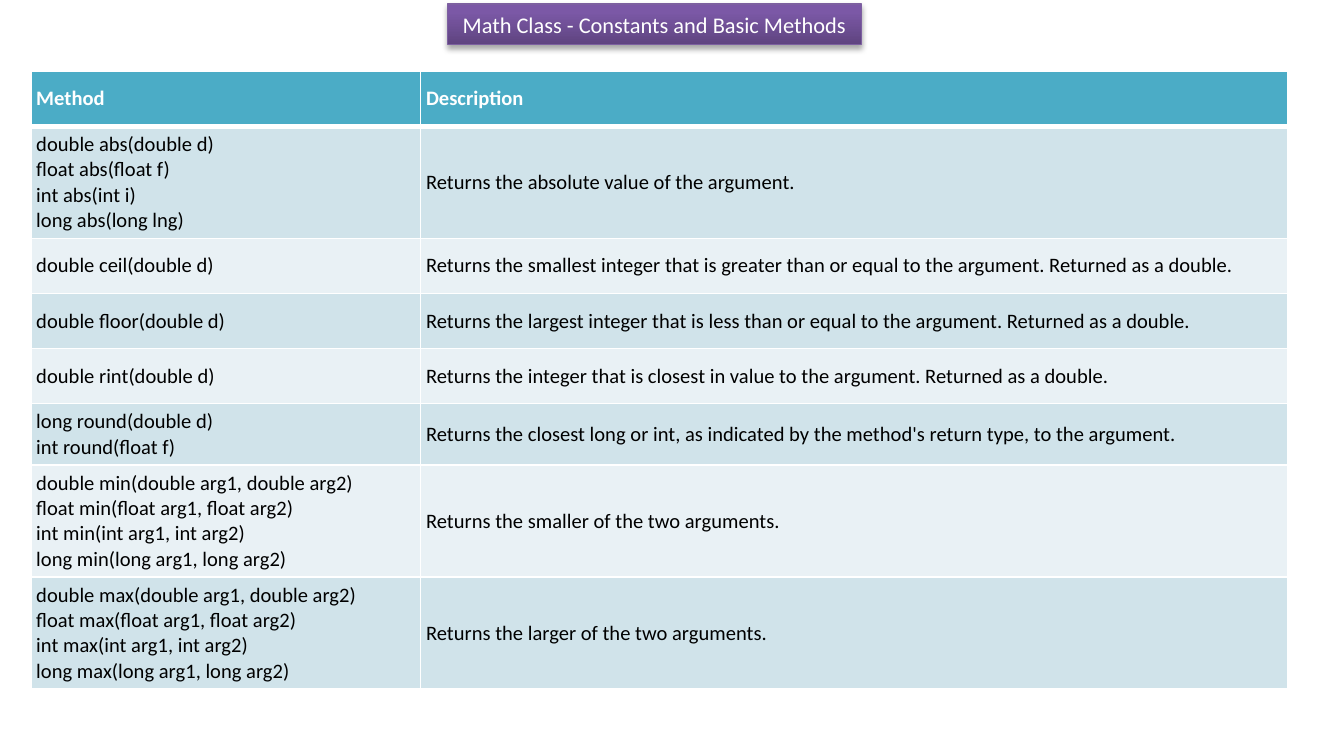
from dataclasses import dataclass

from lxml import etree
from pptx import Presentation
from pptx import util as u
from pptx.dml import color
from pptx.enum import shapes, text
from pptx.oxml import ns


@dataclass(frozen=True)
class Theme:
    font: str = "Calibri"
    title_size: int = 12
    table_size: int = 11
    light: str = "FFFFFF"
    ink: str = "000000"
    header: str = "4BACC6"
    bands: tuple = ("D0E3EA", "E9F1F5")
    title_line: str = "7D60A0"
    title_stops: tuple = ((0, "5F4480"), (80, "7B58A6"), (100, "7C57A8"))


THEME = Theme()
TITLE = "Math Class - Constants and Basic Methods"
HEADINGS = ("Method", "Description")
NUMBER_TYPES = ("double", "float", "int", "long")


def two_argument_overloads(name):
    return [f"{kind} {name}({kind} arg1, {kind} arg2)" for kind in NUMBER_TYPES]


METHODS = [
    (["double abs(double d)", "float abs(float f)", "int abs(int i)", "long abs(long lng)"],
     "Returns the absolute value of the argument."),
    (["double ceil(double d)"],
     "Returns the smallest integer that is greater than or equal to the argument. "
     "Returned as a double."),
    (["double floor(double d)"],
     "Returns the largest integer that is less than or equal to the argument. "
     "Returned as a double."),
    (["double rint(double d)"],
     "Returns the integer that is closest in value to the argument. Returned as a double."),
    (["long round(double d)", "int round(float f)"],
     "Returns the closest long or int, as indicated by the method's return type, "
     "to the argument."),
    (two_argument_overloads("min"), "Returns the smaller of the two arguments."),
    (two_argument_overloads("max"), "Returns the larger of the two arguments."),
]


def add_element(parent, tag, **attributes):
    return etree.SubElement(parent, ns.qn(tag), attributes)


def add_lines(paragraph, lines, size, ink, bold=False):
    for index, line in enumerate(lines):
        if index:
            paragraph.add_line_break()
        run = paragraph.add_run()
        run.text = line
        run.font.name = THEME.font
        run.font.size = u.Pt(size)
        run.font.bold = bold
        run.font.color.rgb = color.RGBColor.from_string(ink)


def set_gradient(shape, stops):
    shape.fill.gradient()
    gradient = shape.fill._xPr.find(ns.qn("a:gradFill"))
    for child in list(gradient):
        gradient.remove(child)
    stop_list = add_element(gradient, "a:gsLst")
    for position, rgb in stops:
        stop = add_element(stop_list, "a:gs", pos=str(position * 1000))
        add_element(stop, "a:srgbClr", val=rgb)
    add_element(gradient, "a:lin", ang=str(270 * 60000), scaled="0")


def set_shadow(shape):
    shape.shadow.inherit = False
    effects = shape._element.spPr.find(ns.qn("a:effectLst"))
    shadow = add_element(effects, "a:outerShdw", blurRad=str(u.Pt(3.1)),
                         dist=str(u.Pt(1.8)), dir=str(90 * 60000), rotWithShape="0")
    tint = add_element(shadow, "a:srgbClr", val=THEME.ink)
    add_element(tint, "a:alpha", val="35000")


def set_borders(cell, bottom):
    properties = cell._tc.get_or_add_tcPr()
    widths = {"a:lnL": 1, "a:lnR": 1, "a:lnT": 1, "a:lnB": bottom}
    for index, (side, width) in enumerate(widths.items()):
        border = etree.Element(ns.qn(side), w=str(u.Pt(width)))
        fill = add_element(border, "a:solidFill")
        add_element(fill, "a:srgbClr", val=THEME.light)
        properties.insert(index, border)


def fill_cell(cell, lines, fill, ink, bold=False, bottom=1):
    cell.vertical_anchor = text.MSO_ANCHOR.MIDDLE
    cell.margin_left = cell.margin_right = u.Inches(0.04)
    cell.margin_top = cell.margin_bottom = u.Inches(0.04)
    cell.fill.solid()
    cell.fill.fore_color.rgb = color.RGBColor.from_string(fill)
    set_borders(cell, bottom)
    add_lines(cell.text_frame.paragraphs[0], lines, THEME.table_size, ink, bold)


def add_title(slide, left, top, width, height):
    banner = slide.shapes.add_shape(shapes.MSO_SHAPE.RECTANGLE, left, top, width, height)
    set_gradient(banner, THEME.title_stops)
    banner.line.color.rgb = color.RGBColor.from_string(THEME.title_line)
    banner.line.width = u.Pt(0.75)
    set_shadow(banner)
    frame = banner.text_frame
    frame.word_wrap = False
    frame.auto_size = text.MSO_AUTO_SIZE.SHAPE_TO_FIT_TEXT
    frame.paragraphs[0].alignment = text.PP_ALIGN.CENTER
    add_lines(frame.paragraphs[0], [TITLE], THEME.title_size, THEME.light)


def add_method_table(slide, left, top, width, row_height):
    row_count = len(METHODS) + 1
    table = slide.shapes.add_table(row_count, len(HEADINGS), left, top, width,
                                   row_height * row_count).table
    table.columns[0].width = u.Inches(2.9)
    table.columns[1].width = width - table.columns[0].width
    for column, heading in enumerate(HEADINGS):
        fill_cell(table.cell(0, column), [heading], THEME.header, THEME.light,
                  bold=True, bottom=3)
    for index, (signatures, description) in enumerate(METHODS):
        band = THEME.bands[index % len(THEME.bands)]
        for column, lines in enumerate((signatures, [description])):
            fill_cell(table.cell(index + 1, column), lines, band, THEME.ink)


def main():
    deck = Presentation()
    deck.slide_width = u.Inches(10)
    deck.slide_height = u.Inches(5.5)
    slide = deck.slides.add_slide(deck.slide_layouts[6])
    add_method_table(slide, u.Inches(0.23), u.Inches(0.53), u.Inches(9.35), u.Inches(0.41))
    add_title(slide, u.Inches(3.33), u.Inches(0.03), u.Inches(3.08), u.Inches(0.3))
    deck.save("out.pptx")


if __name__ == "__main__":
    main()
